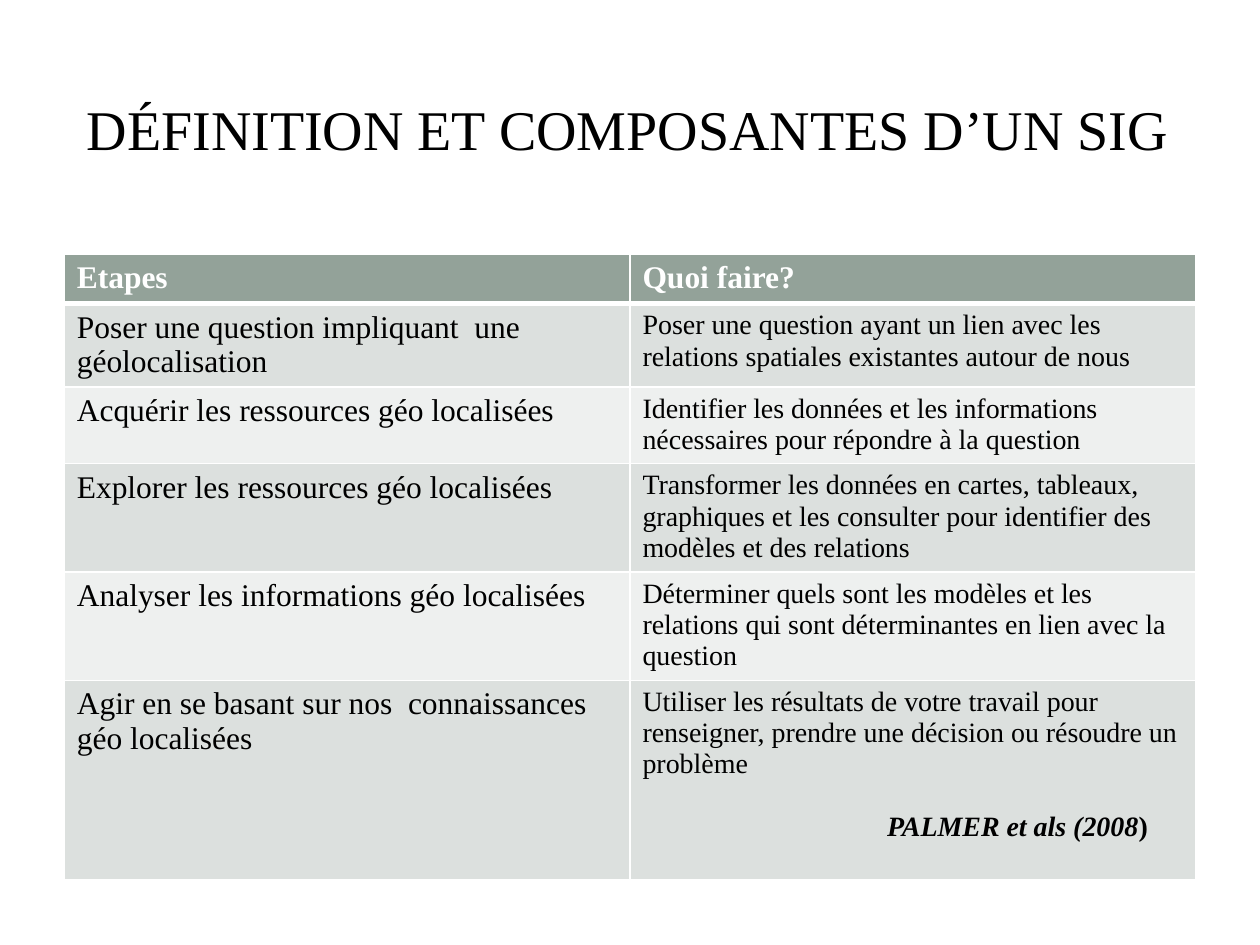
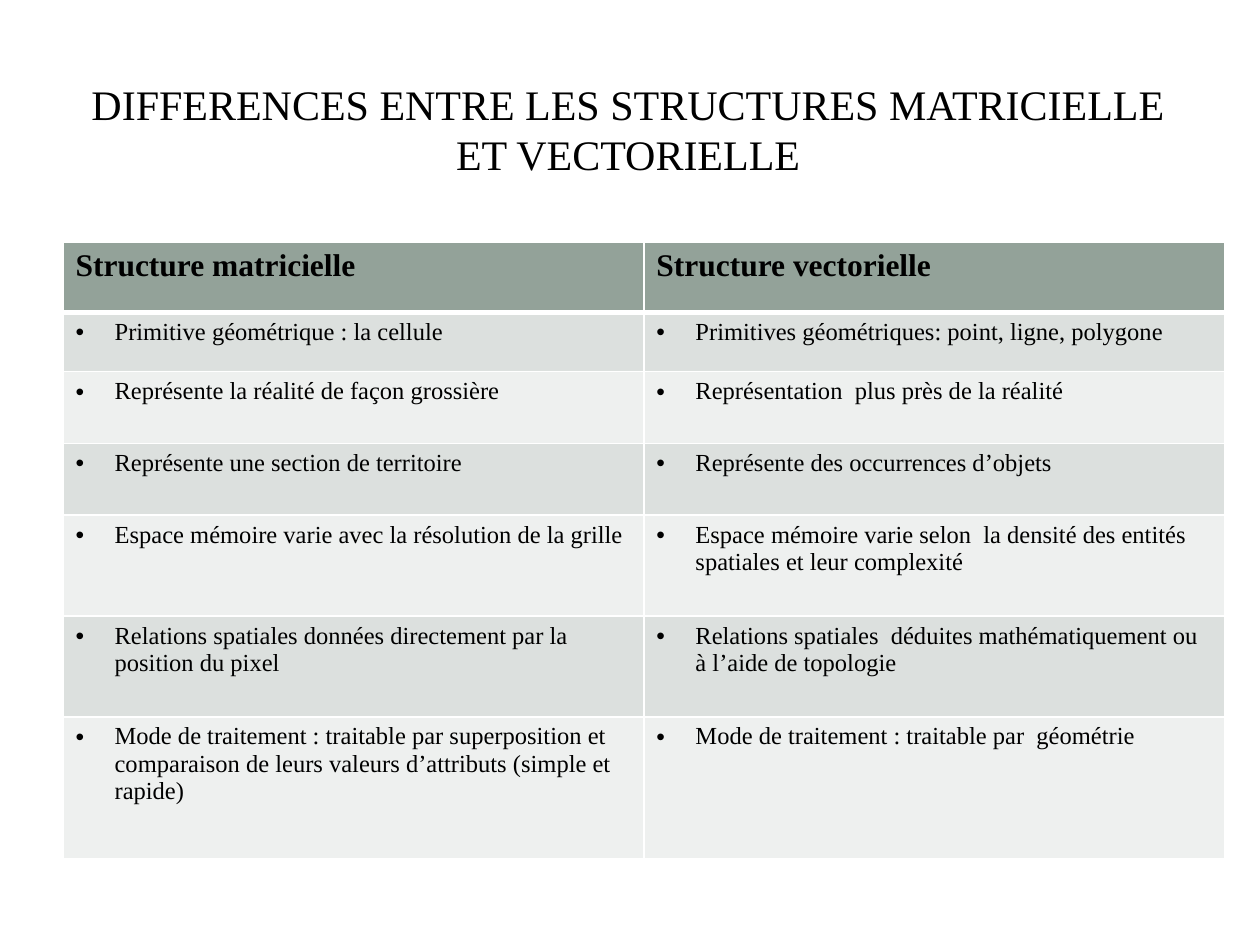
import pptx
import pptx.dml.color
import pptx.enum.shapes
import pptx.enum.text
import pptx.oxml.ns
import pptx.util
from lxml import etree

Inches, Pt = pptx.util.Inches, pptx.util.Pt
RGBColor = pptx.dml.color.RGBColor
MSO_SHAPE = pptx.enum.shapes.MSO_SHAPE
PP_ALIGN = pptx.enum.text.PP_ALIGN
qn = pptx.oxml.ns.qn

BLACK = RGBColor(0x00, 0x00, 0x00)
WHITE = RGBColor(0xFF, 0xFF, 0xFF)
HEADER_GREEN = RGBColor(0x93, 0xA2, 0x99)
BANDS = (RGBColor(0xDC, 0xE0, 0xDE), RGBColor(0xEE, 0xF0, 0xEF))
FONT = "Times New Roman"
TITLE_BOX = (0.47, 0.45, 9.03, 1.14)
HEADER_SIZE = 18
BULLET_INDENT = 0.31
CITATION_INDENT = 1.94
CITATION_GAP = 18

# Frame parts shared by the slides: preset, box, corner share, opacity in percent
FRAME = [
    (MSO_SHAPE.ROUNDED_RECTANGLE, (0.1, 0.11, 9.8, 7.29), 0.02, 100),
    (MSO_SHAPE.RECTANGLE, (0.3, 0.3, 9.4, 1.45), None, 83),
    (MSO_SHAPE.RECTANGLE, (0.41, 0.41, 9.17, 1.22), None, 100),
]

# Each citation part is (text, italic)
CITATION = [("PALMER et als (2008", True), (")", False)]

SLIDES = [
    {
        "title": "DÉFINITION ET COMPOSANTES D’UN SIG",
        "title_size": 32,
        "table_box": (0.51, 2.02, 8.98),
        "row_heights": (0.39, 0.66, 0.61, 0.86, 0.86, 1.58),
        "column_sizes": (18, 16),
        "header_color": WHITE,
        "bullets": False,
        "citation": CITATION,
        "rows": [
            ("Etapes", "Quoi faire?"),
            ("Poser une question impliquant  une\ngéolocalisation",
             "Poser une question ayant un lien avec les relations spatiales "
             "existantes autour de nous"),
            ("Acquérir les ressources géo localisées",
             "Identifier les données et les informations nécessaires pour "
             "répondre à la question"),
            ("Explorer les ressources géo localisées",
             "Transformer les données en cartes, tableaux, graphiques et les "
             "consulter pour identifier des modèles et des relations"),
            ("Analyser les informations géo localisées",
             "Déterminer quels sont les modèles et les relations qui sont "
             "déterminantes en lien avec la question"),
            ("Agir en se basant sur nos  connaissances géo localisées",
             "Utiliser les résultats de votre travail pour renseigner, prendre "
             "une décision ou résoudre un problème"),
        ],
    },
    {
        "title": "DIFFERENCES ENTRE LES STRUCTURES MATRICIELLE ET VECTORIELLE",
        "title_size": 24,
        "table_box": (0.5, 1.92, 9.22),
        "row_heights": (0.56, 0.47, 0.57, 0.57, 0.8, 0.8, 1.13),
        "column_sizes": (14, 14),
        "header_color": BLACK,
        "bullets": True,
        "citation": None,
        "rows": [
            ("Structure matricielle", "Structure vectorielle"),
            ("Primitive géométrique : la cellule",
             "Primitives géométriques: point, ligne, polygone"),
            ("Représente la réalité de façon grossière",
             "Représentation  plus près de la réalité"),
            ("Représente une section de territoire",
             "Représente des occurrences d’objets"),
            ("Espace mémoire varie avec la résolution de la grille",
             "Espace mémoire varie selon  la densité des entités spatiales et "
             "leur complexité"),
            ("Relations spatiales données directement par la position du pixel",
             "Relations spatiales  déduites mathématiquement ou à l’aide de "
             "topologie"),
            ("Mode de traitement : traitable par superposition et comparaison "
             "de leurs valeurs d’attributs (simple et rapide)",
             "Mode de traitement : traitable par  géométrie"),
        ],
    },
]


def add_run(paragraph, text, size, color=BLACK, bold=False, italic=False):
    run = paragraph.add_run()
    run.text = text
    font = run.font
    font.name, font.size, font.bold, font.italic = FONT, Pt(size), bold, italic
    font.color.rgb = color


def set_indent(paragraph, left, first_line=0):
    properties = paragraph._p.get_or_add_pPr()
    properties.set("marL", str(Inches(left)))
    properties.set("indent", str(Inches(first_line)))
    return properties


def add_bullet(paragraph):
    properties = set_indent(paragraph, BULLET_INDENT, -BULLET_INDENT)
    etree.SubElement(properties, qn("a:buFont"), typeface="Arial")
    etree.SubElement(properties, qn("a:buChar"), char="•")


def add_borders(cell, row):
    """Draw white borders, thicker between the header and the body."""
    widths = {"lnL": 1, "lnR": 1, "lnT": 3 if row == 1 else 1, "lnB": 3 if row == 0 else 1}
    properties = cell._tc.get_or_add_tcPr()
    for side, width in widths.items():
        line = etree.SubElement(properties, qn("a:" + side), w=str(Pt(width)))
        fill = etree.SubElement(line, qn("a:solidFill"))
        etree.SubElement(fill, qn("a:srgbClr"), val=str(WHITE))


def fill_cell(cell, row, column, text, content):
    is_header = row == 0
    add_borders(cell, row)
    cell.fill.solid()
    cell.fill.fore_color.rgb = HEADER_GREEN if is_header else BANDS[(row - 1) % 2]
    size = HEADER_SIZE if is_header else content["column_sizes"][column]
    color = content["header_color"] if is_header else BLACK
    frame = cell.text_frame
    for index, line in enumerate(text.split("\n")):
        paragraph = frame.add_paragraph() if index else frame.paragraphs[0]
        if content["bullets"] and not is_header:
            add_bullet(paragraph)
        add_run(paragraph, line, size, color, bold=is_header)


def add_citation(cell, parts, size):
    paragraph = cell.text_frame.add_paragraph()
    set_indent(paragraph, CITATION_INDENT)
    paragraph.space_before = Pt(CITATION_GAP)
    for text, italic in parts:
        add_run(paragraph, text, size, bold=True, italic=italic)


def move_frame_to_layout(slide, layout):
    """Build the frame on the slide, then place it behind the layout's placeholders."""
    for position, (preset, box, corner, opacity) in enumerate(FRAME, start=2):
        shape = slide.shapes.add_shape(preset, *map(Inches, box))
        shape.shadow.inherit = False
        shape.fill.solid()
        shape.fill.fore_color.rgb = WHITE
        shape.line.fill.background()
        if corner is not None:
            shape.adjustments[0] = corner
        if opacity < 100:
            color = shape._element.spPr.find(".//" + qn("a:srgbClr"))
            etree.SubElement(color, qn("a:alpha"), val=str(opacity * 1000))
        layout.shapes._spTree.insert(position, shape._element)


def add_title(slide, content):
    title = slide.shapes.title
    title.left, title.top, title.width, title.height = map(Inches, TITLE_BOX)
    title.text_frame.vertical_anchor = pptx.enum.text.MSO_ANCHOR.MIDDLE
    paragraph = title.text_frame.paragraphs[0]
    paragraph.alignment = PP_ALIGN.CENTER
    add_run(paragraph, content["title"], content["title_size"])


def add_content_table(slide, content):
    rows, heights = content["rows"], content["row_heights"]
    left, top, width = content["table_box"]
    columns = len(rows[0])
    table = slide.shapes.add_table(
        len(rows), columns, Inches(left), Inches(top), Inches(width), Inches(sum(heights))
    ).table
    for column in table.columns:
        column.width = Inches(width / columns)
    for row, (texts, height) in enumerate(zip(rows, heights)):
        table.rows[row].height = Inches(height)
        for column, text in enumerate(texts):
            fill_cell(table.cell(row, column), row, column, text, content)
    if content["citation"]:
        last_cell = table.cell(len(rows) - 1, columns - 1)
        add_citation(last_cell, content["citation"], content["column_sizes"][-1])


def main():
    presentation = pptx.Presentation()
    presentation.slide_width, presentation.slide_height = Inches(10), Inches(7.5)
    title_only = presentation.slide_layouts[5]
    for index, content in enumerate(SLIDES):
        slide = presentation.slides.add_slide(title_only)
        if index == 0:
            move_frame_to_layout(slide, title_only)
        add_title(slide, content)
        add_content_table(slide, content)
    presentation.save("out.pptx")


if __name__ == "__main__":
    main()
